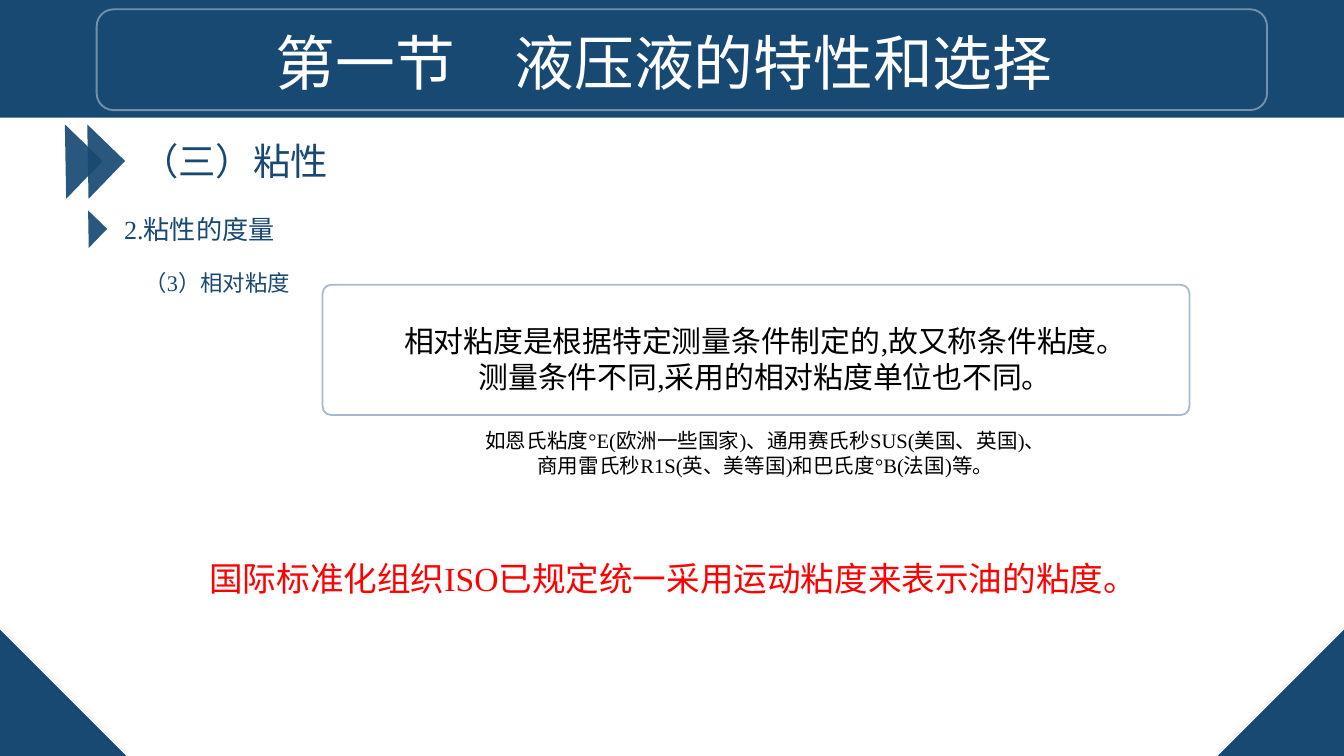
"""Build a slide on the relative viscosity of hydraulic fluid."""
from lxml import etree
from pptx import Presentation
from pptx import util as u
from pptx.dml.color import RGBColor
from pptx.enum import shapes, text
from pptx.oxml import ns

NAVY = RGBColor(0x18, 0x49, 0x72)
WHITE = RGBColor(0xFF, 0xFF, 0xFF)
BLACK = RGBColor(0, 0, 0)
RED = RGBColor(0xFF, 0, 0)
FONT = "Times New Roman"
WIDTH, HEIGHT = 720, 405
CORNER = 67.7
KIND = shapes.MSO_SHAPE
CENTER = text.PP_ALIGN.CENTER


def points(*values):
    """Convert numbers to lengths in points."""
    return [u.Pt(value) for value in values]


def set_opacity(shape, percent):
    """Make the one colour of a shape partly transparent."""
    colour = next(shape.element.iter(ns.qn("a:srgbClr")))
    etree.SubElement(colour, ns.qn("a:alpha")).set("val", str(percent * 1000))


def add_solid(page, kind, bounds, rotation=0, opacity=100):
    """Add a navy shape without an outline."""
    shape = page.shapes.add_shape(kind, *points(*bounds))
    shape.shadow.inherit = False
    shape.fill.solid()
    shape.fill.fore_color.rgb = NAVY
    shape.line.fill.background()
    shape.rotation = rotation
    if opacity < 100:
        set_opacity(shape, opacity)
    return shape


def add_frame(page, bounds, colour, opacity, rounding):
    """Add an unfilled rounded frame."""
    frame = page.shapes.add_shape(KIND.ROUNDED_RECTANGLE, *points(*bounds))
    frame.shadow.inherit = False
    frame.adjustments[0] = rounding
    frame.fill.background()
    frame.line.color.rgb = colour
    frame.line.width = u.Pt(1)
    set_opacity(frame, opacity)


def write(box, paragraphs, colour, align=CENTER):
    """Fill a box with paragraphs of (wording, size, paragraph format)."""
    frame = box.text_frame
    frame.word_wrap = True
    frame.auto_size = text.MSO_AUTO_SIZE.NONE
    frame.vertical_anchor = text.MSO_ANCHOR.TOP
    for index, (wording, size, layout) in enumerate(paragraphs):
        para = frame.add_paragraph() if index else frame.paragraphs[0]
        for name, value in {"alignment": align, **layout}.items():
            setattr(para, name, value)
        span = para.add_run()
        span.text = wording
        for name, value in {"name": FONT, "size": u.Pt(size), "bold": False}.items():
            setattr(span.font, name, value)
        span.font.color.rgb = colour


def add_text(page, bounds, paragraphs, colour, align=CENTER):
    """Add a text box."""
    write(page.shapes.add_textbox(*points(*bounds)), paragraphs, colour, align)


def add_header(page):
    """Add the title band, its frame and the title."""
    title = page.shapes.title
    add_solid(page, KIND.RECTANGLE, (0, 0, WIDTH, 63))
    add_frame(page, (51.8, 5, 627, 54), WHITE, 40, 0.167)
    title.left, title.top, title.width, title.height = points(55.4, 10, 601, 46)
    write(title, [("第一节　液压液的特性和选择", 32, {})], WHITE)
    title.element.getparent().append(title.element)


def main():
    """Build and save the slide."""
    deck = Presentation()
    deck.slide_width, deck.slide_height = points(WIDTH, HEIGHT)
    page = deck.slides.add_slide(deck.slide_layouts[5])
    add_header(page)

    for left, rotation in ((0, 0), (WIDTH - CORNER, 270)):
        bounds = (left, HEIGHT - CORNER, CORNER, CORNER)
        add_solid(page, KIND.RIGHT_TRIANGLE, bounds, rotation)
    for left, top, side in ((21, 72.5, 28.2), (33, 72.5, 28.2), (40.3, 115.7, 14.2)):
        add_solid(page, KIND.RIGHT_TRIANGLE, (left, top, side, side), 224, 92)

    headings = (
        ((67, 70.6, 117.4, 31.5), "（三）粘性", 20),
        ((57.6, 111, 98.6, 24.5), "2.粘性的度量", 14),
        ((46, 140.4, 141, 21.6), "（3）相对粘度", 12),
    )
    for bounds, wording, size in headings:
        add_text(page, bounds, [(wording, size, {})], NAVY)

    add_frame(page, (172.8, 152.6, 464.4, 69.8), NAVY, 36, 0.067)
    definition = [
        ("相对粘度是根据特定测量条件制定的,故又称条件粘度。", 16, {"line_spacing": 1.5}),
        ("测量条件不同,采用的相对粘度单位也不同。", 16, {}),
        ("如恩氏粘度°E(欧洲一些国家)、通用赛氏秒SUS(美国、英国)、", 11,
         {"space_before": u.Pt(18)}),
        ("商用雷氏秒R1S(英、美等国)和巴氏度°B(法国)等。", 11, {}),
    ]
    add_text(page, (105, 160, 610, 104.4), definition, BLACK)
    conclusion = [("国际标准化组织ISO已规定统一采用运动粘度来表示油的粘度。", 18, {})]
    add_text(page, (105, 295.2, 502.6, 29), conclusion, RED, text.PP_ALIGN.LEFT)
    deck.save("out.pptx")


if __name__ == "__main__":
    main()
